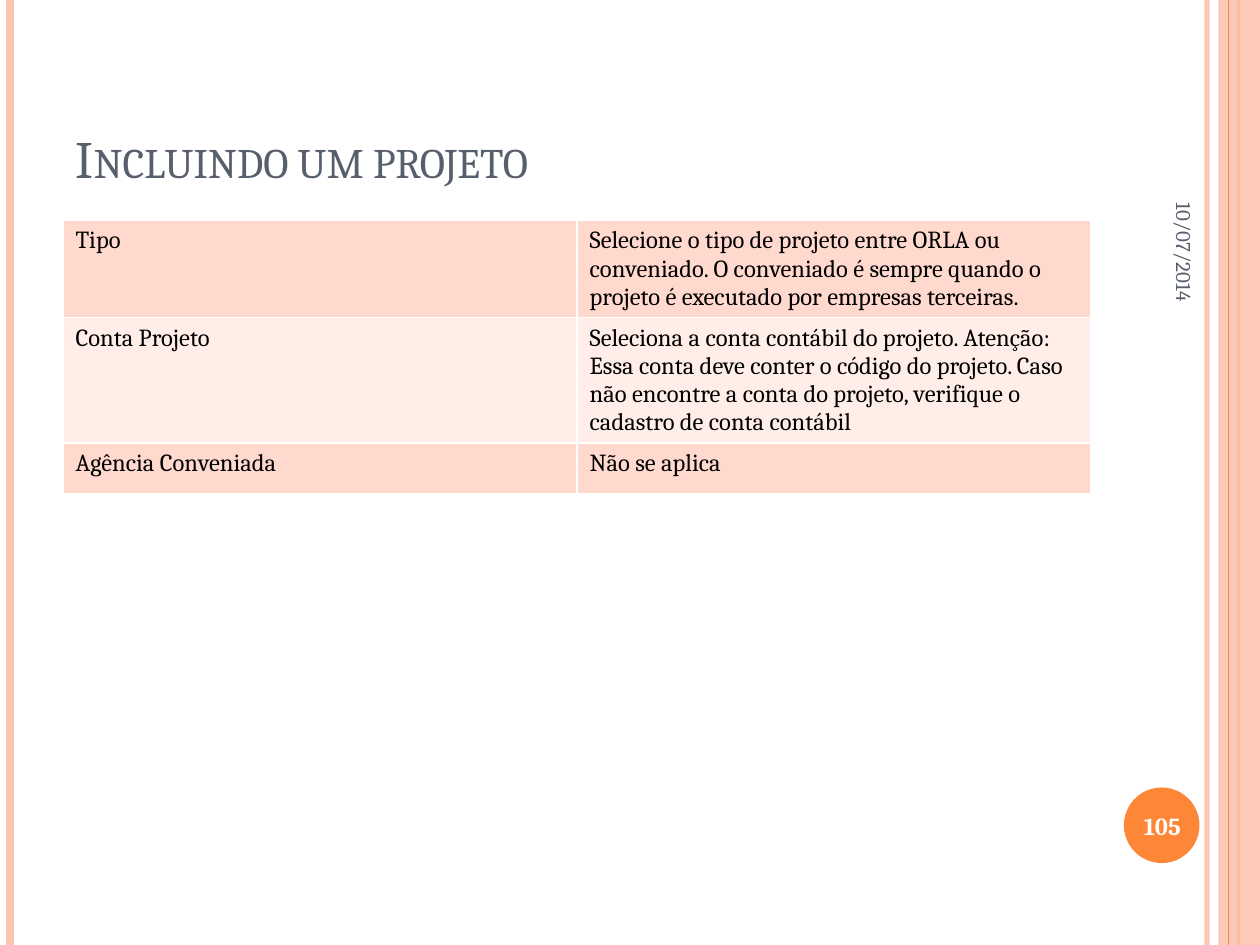
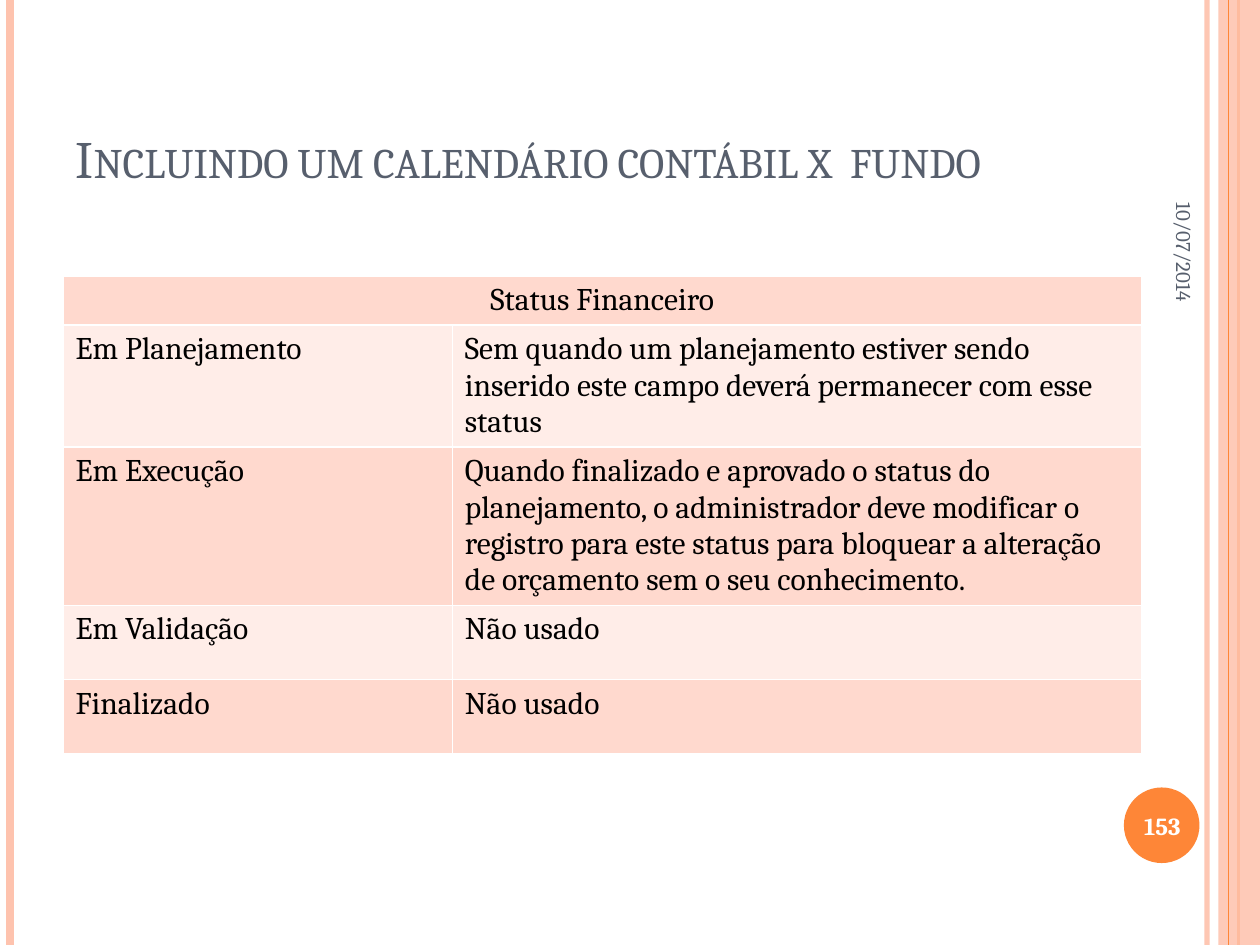
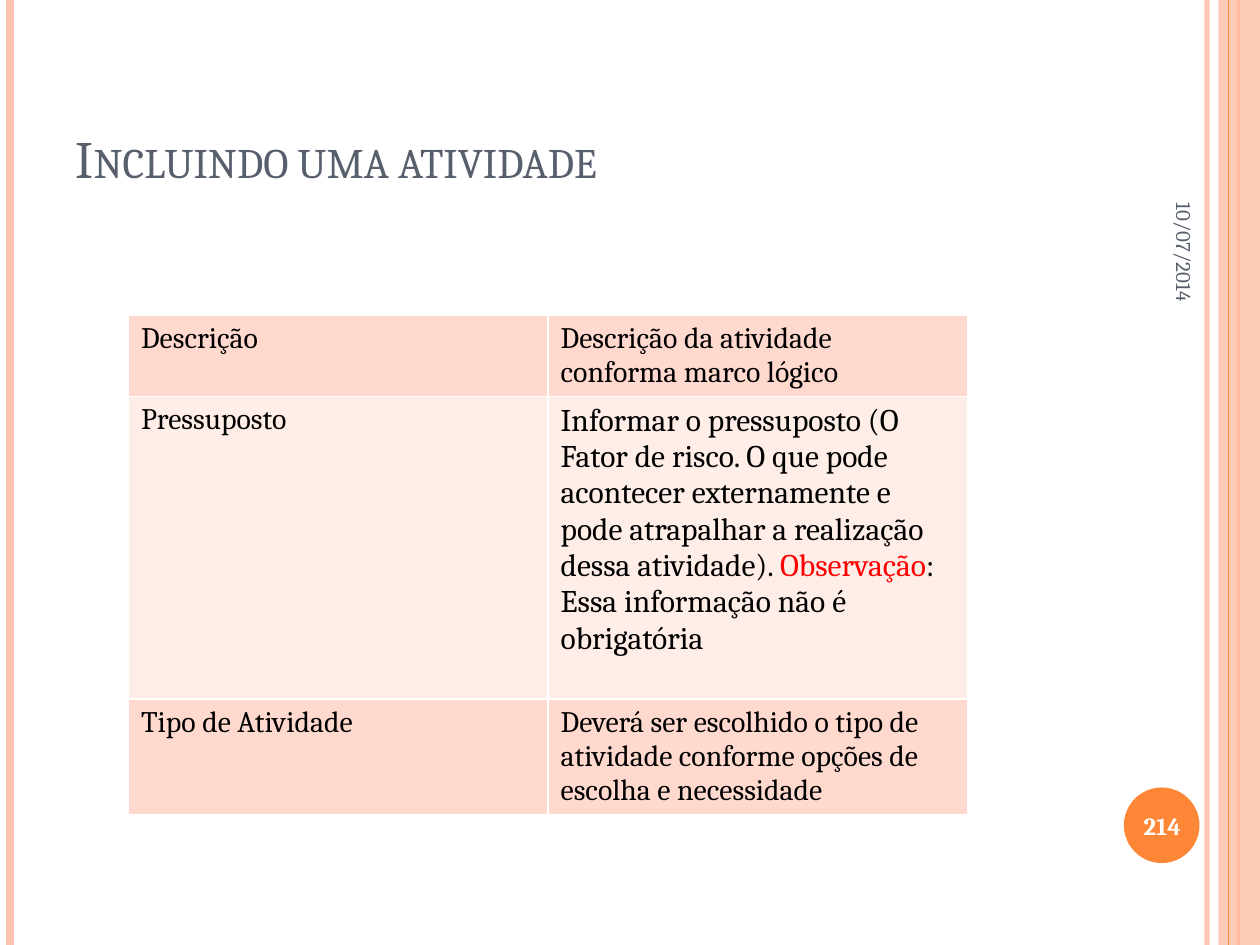
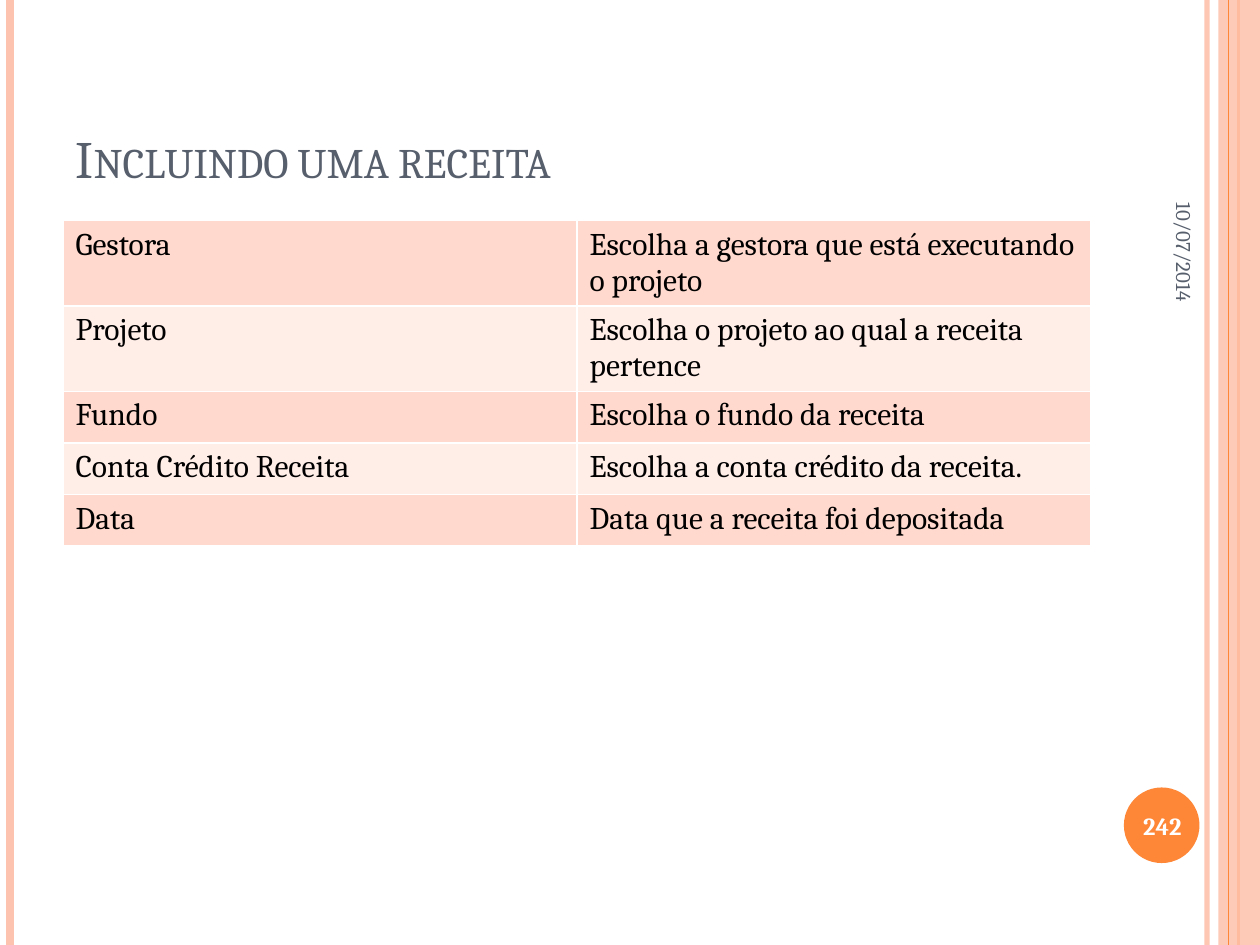
"""Builds four slides of a user guide, each with a title and a table of fields."""
from typing import NamedTuple

from lxml import etree
from pptx import Presentation
from pptx.dml.color import RGBColor
from pptx.enum.shapes import MSO_CONNECTOR, MSO_SHAPE
from pptx.enum.text import MSO_ANCHOR, MSO_AUTO_SIZE, PP_ALIGN
from pptx.oxml.ns import qn
from pptx.util import Inches, Pt

STRAIGHT = MSO_CONNECTOR.STRAIGHT
RECT, OVAL = MSO_SHAPE.RECTANGLE, MSO_SHAPE.OVAL
MIDDLE, BOTTOM = MSO_ANCHOR.MIDDLE, MSO_ANCHOR.BOTTOM
LEFT, CENTER, RIGHT = PP_ALIGN.LEFT, PP_ALIGN.CENTER, PP_ALIGN.RIGHT
NO_FIT = MSO_AUTO_SIZE.NONE

PEACH = RGBColor(0xFE, 0xC3, 0xAE)
ORANGE = RGBColor(0xFE, 0x86, 0x37)
SLATE = RGBColor(0x57, 0x5F, 0x6D)
WHITE = RGBColor(0xFF, 0xFF, 0xFF)
BLACK = RGBColor(0, 0, 0)
RED = RGBColor(0xFF, 0, 0)
BANDS = (RGBColor(0xFF, 0xD9, 0xCE), RGBColor(0xFF, 0xED, 0xE8))

FONT = "Cambria"
DATE = "10/07/2014"
TALL = 7.5


class Stripe(NamedTuple):
    """A vertical line over the full height of the slide."""
    left: float
    color: RGBColor
    width: float
    alpha: int = 100


class Part(NamedTuple):
    """A piece of cell text with its own colour."""
    text: str
    color: RGBColor = BLACK


class Row(NamedTuple):
    """A table row; without a value its label spans the table."""
    height: float
    label: str
    value: str | tuple[Part, ...] = ""
    size: int = 0


class Page(NamedTuple):
    """A slide with its number and its table."""
    title: str
    number: int
    left: float
    top: float
    cols: tuple[float, float]
    size: int
    rows: tuple[Row, ...]


EDGE = Stripe(9.58, PEACH, 3, 93)
SIDE = Stripe(0.08, PEACH, 4.5)
THICK = Stripe(9.83, ORANGE, 1.5)
THIN = Stripe(9.75, ORANGE, 0.75)

PAGES = (
    Page("Incluindo um projeto", 105, 0.5, 1.75, (4.08, 4.08), 14, (
        Row(0.77, "Tipo", "Selecione o tipo de projeto entre ORLA ou conveniado. "
            "O conveniado é sempre quando o projeto é executado por empresas terceiras."),
        Row(0.99, "Conta Projeto", "Seleciona a conta contábil do projeto. Atenção: "
            "Essa conta deve conter o código do projeto. Caso não encontre a conta do "
            "projeto, verifique o cadastro de conta contábil"),
        Row(0.4, "Agência Conveniada", "Não se aplica"),
    )),
    Page("Incluindo um calendário contábil x  fundo", 153, 0.5, 2.19, (3.09, 5.47), 18, (
        Row(0.38, "Status Financeiro"),
        Row(0.97, "Em Planejamento", "Sem quando um planejamento estiver sendo "
            "inserido este campo deverá permanecer com esse status"),
        Row(1.25, "Em Execução", "Quando finalizado e aprovado o status do "
            "planejamento, o administrador deve modificar o registro para este status "
            "para bloquear a alteração de orçamento sem o seu conhecimento."),
        Row(0.59, "Em Validação", "Não usado"),
        Row(0.59, "Finalizado", "Não usado"),
    )),
    Page("Incluindo uma atividade", 214, 1.02, 2.5, (3.33, 3.33), 17, (
        Row(0.64, "Descrição", "Descrição da atividade conforma marco lógico"),
        Row(2.4, "Pressuposto", (
            Part("Informar o pressuposto (O Fator de risco. O que pode acontecer "
                 "externamente e pode atrapalhar a realização dessa atividade). "),
            Part("Observação", RED),
            Part(": Essa informação não é obrigatória"),
        ), 18),
        Row(0.91, "Tipo de Atividade", "Deverá ser escolhido o tipo de atividade "
            "conforme opções de escolha e necessidade"),
    )),
    Page("Incluindo uma receita", 242, 0.5, 1.75, (4.08, 4.08), 18, (
        Row(0.67, "Gestora", "Escolha a gestora que está executando o projeto"),
        Row(0.67, "Projeto", "Escolha o projeto ao qual a receita pertence"),
        Row(0.41, "Fundo", "Escolha o fundo da receita"),
        Row(0.41, "Conta Crédito Receita", "Escolha a conta crédito da receita."),
        Row(0.41, "Data", "Data que a receita foi depositada"),
    )),
)


def box(left: float, top: float, width: float, height: float) -> tuple:
    return Inches(left), Inches(top), Inches(width), Inches(height)


def fade(shape, alpha: int) -> None:
    tone = next(shape._element.spPr.iter(qn("a:srgbClr")))
    etree.SubElement(tone, qn("a:alpha"), val=str(alpha * 1000))


def style(para, size: int, color: RGBColor | None, align=LEFT, bold: bool = False) -> None:
    para.alignment = align
    font = para.font
    font.name, font.size, font.bold = FONT, Pt(size), bold
    if color is not None:
        font.color.rgb = color


def add_stripe(slide, stripe: Stripe) -> None:
    left = Inches(stripe.left)
    line = slide.shapes.add_connector(STRAIGHT, left, 0, left, Inches(TALL))
    line.line.color.rgb = stripe.color
    line.line.width = Pt(stripe.width)
    if stripe.alpha < 100:
        fade(line, stripe.alpha)
    etree.SubElement(line._element.spPr, qn("a:effectLst"))


def add_shape(slide, kind, area: tuple, color: RGBColor):
    shape = slide.shapes.add_shape(kind, *area)
    shape.shadow.inherit = False
    shape.fill.solid()
    shape.fill.fore_color.rgb = color
    shape.line.fill.background()
    return shape


def add_frame(slide) -> None:
    for stripe in (EDGE, SIDE, THICK):
        add_stripe(slide, stripe)
    fade(add_shape(slide, RECT, box(9.67, 0, 0.33, TALL), PEACH), 87)
    add_stripe(slide, THIN)
    add_shape(slide, OVAL, box(8.92, 6.25, 0.6, 0.6), ORANGE)


def add_label(slide, text: str, area: tuple, size: int, color: RGBColor,
              align, bold: bool = False):
    label = slide.shapes.add_textbox(*area)
    frame = label.text_frame
    frame.word_wrap = True
    frame.vertical_anchor = MIDDLE
    frame.text = text
    style(frame.paragraphs[0], size, color, align, bold)
    return label


def set_title(slide, text: str) -> None:
    title = slide.shapes.title
    title.left, title.top, title.width, title.height = box(0.5, 0.3, 8.17, 1.25)
    frame = title.text_frame
    frame.text = text
    frame.auto_size = NO_FIT
    frame.vertical_anchor = BOTTOM
    para = frame.paragraphs[0]
    style(para, 30, SLATE)
    para._p.pPr.find(qn("a:defRPr")).set("cap", "small")


def add_edges(cell) -> None:
    props = cell._tc.get_or_add_tcPr()
    for side in ("lnL", "lnR", "lnT", "lnB"):
        line = etree.SubElement(props, qn(f"a:{side}"), w=str(Pt(1)))
        fill = etree.SubElement(line, qn("a:solidFill"))
        etree.SubElement(fill, qn("a:srgbClr"), val=str(WHITE))


def fill_cell(cell, text: str | tuple[Part, ...], size: int, band: RGBColor, align) -> None:
    add_edges(cell)
    cell.fill.solid()
    cell.fill.fore_color.rgb = band
    para = cell.text_frame.paragraphs[0]
    if isinstance(text, str):
        para.text = text
        style(para, size, BLACK, align)
        return
    style(para, size, None, align)
    for part in text:
        run = para.add_run()
        run.text = part.text
        run.font.color.rgb = part.color


def add_grid(slide, page: Page) -> None:
    area = box(page.left, page.top, sum(page.cols), sum(row.height for row in page.rows))
    table = slide.shapes.add_table(len(page.rows), len(page.cols), *area).table
    table.first_row = table.horz_banding = False
    for col, width in zip(table.columns, page.cols):
        col.width = Inches(width)
    for index, row in enumerate(page.rows):
        table.rows[index].height = Inches(row.height)
        label, value = table.cell(index, 0), table.cell(index, 1)
        band = BANDS[index % 2]
        fill_cell(label, row.label, page.size, band, LEFT if row.value else CENTER)
        fill_cell(value, row.value, row.size or page.size, band, LEFT)
        if not row.value:
            label.merge(value)


def add_page(deck, page: Page) -> None:
    slide = deck.slides.add_slide(deck.slide_layouts[5])
    add_frame(slide)
    set_title(slide, page.title)
    add_grid(slide, page)
    date = add_label(slide, DATE, box(8.3, 1.18, 2.2, 0.42), 12, SLATE, RIGHT)
    date.rotation = 90
    add_label(slide, str(page.number), box(8.89, 6.27, 0.67, 0.57), 14, WHITE, CENTER, True)


def main() -> None:
    deck = Presentation()
    deck.slide_width, deck.slide_height = Inches(10), Inches(TALL)
    for page in PAGES:
        add_page(deck, page)
    deck.save("out.pptx")


if __name__ == "__main__":
    main()
